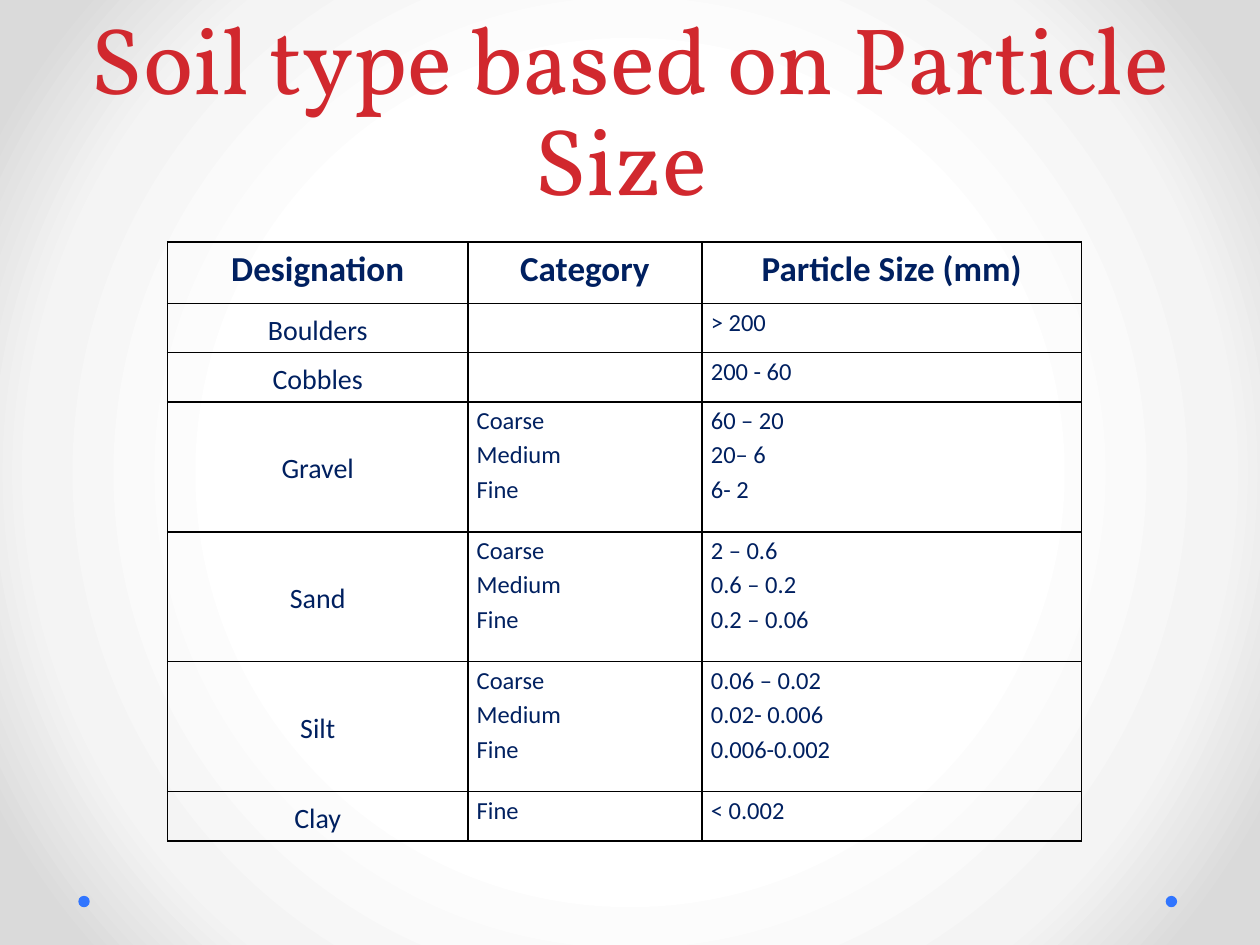
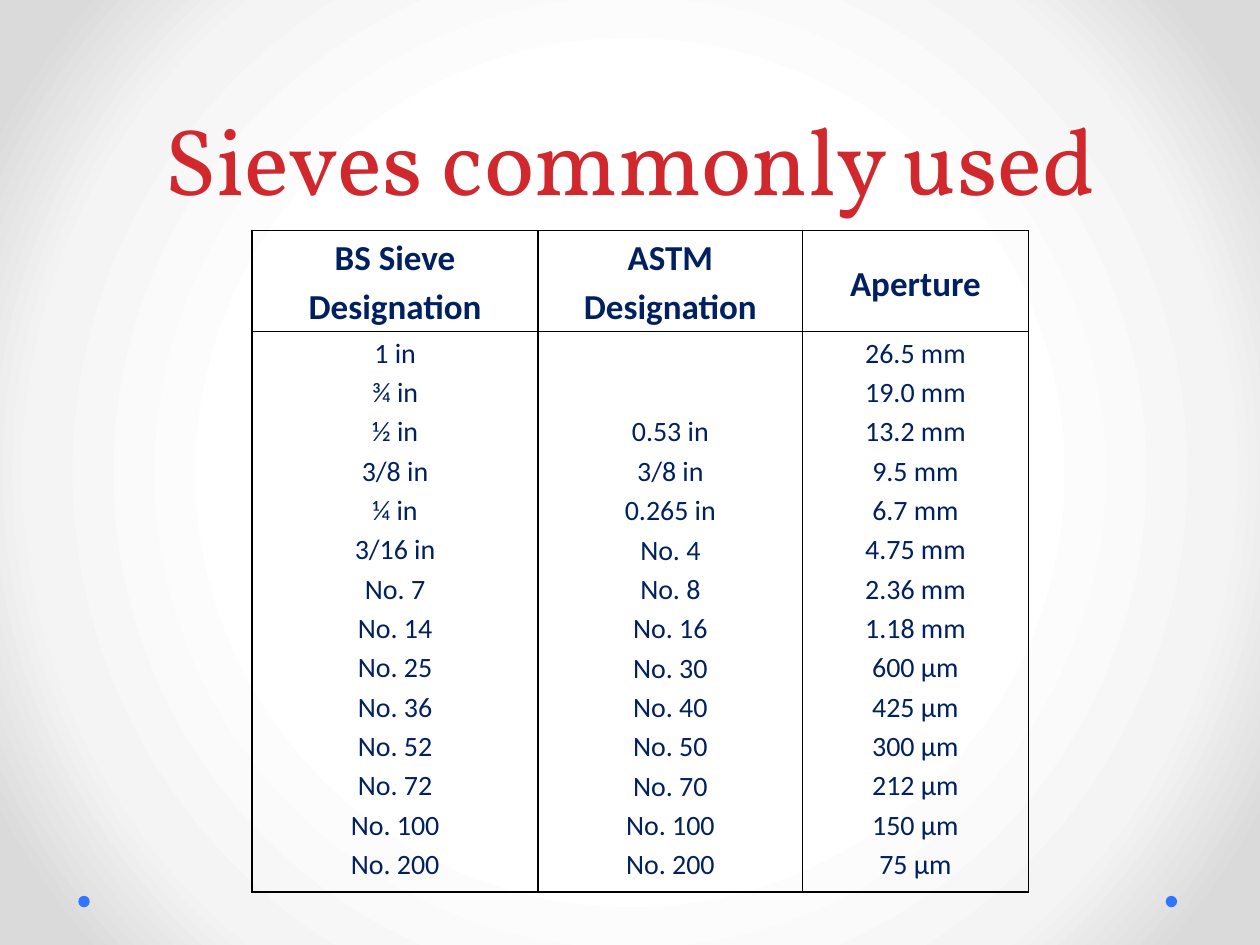
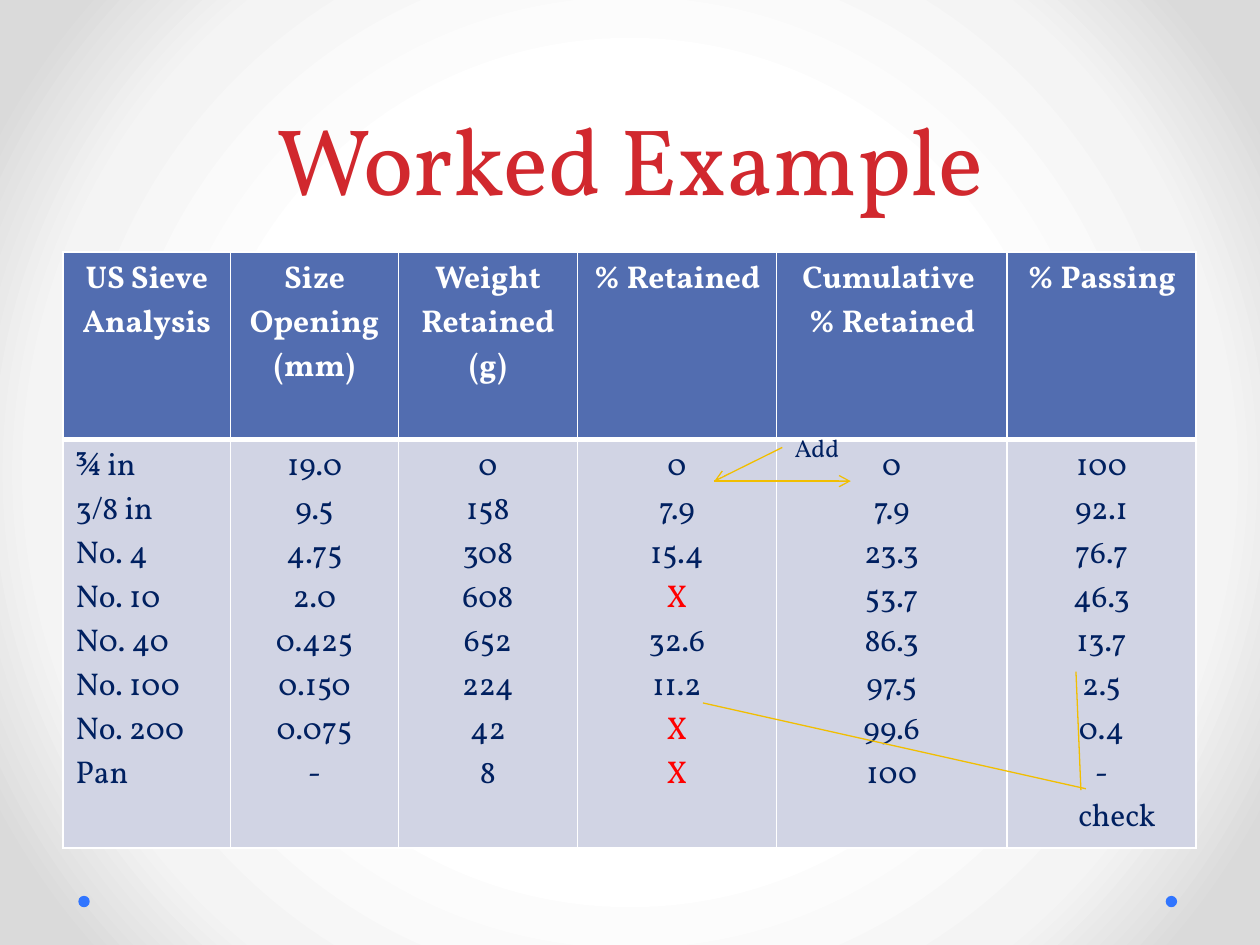
from lxml import etree
from pptx import Presentation
from pptx import util as u
from pptx.dml import color
from pptx.enum import shapes, text
from pptx.oxml import ns, parse_xml

Cm, Pt = u.Cm, u.Pt
TITLE_FONT, TABLE_FONT = "Vollkorn", "Calibri"
RED, NAVY, BLACK, WHITE = "D1282E", "002060", "000000", "FFFFFF"
DOT_BLUE, HEAD_BLUE, BODY_BLUE = "3075FF", "526DB0", "D1D4E4"
GOLD, MISSING = "F1BE00", "FF0000"
BACKDROP = [(50, WHITE), (76, "F4F4F4"), (92, "DADADA")]
LEFT, CENTER = text.PP_ALIGN.LEFT, text.PP_ALIGN.CENTER
TOP, MIDDLE = text.MSO_ANCHOR.TOP, text.MSO_ANCHOR.MIDDLE


def rgb(code):
    return color.RGBColor.from_string(code)


def write(frame, lines, size, ink, font=TITLE_FONT, bold=False, align=LEFT, spacing=None):
    """Fill a text frame with one paragraph per line."""
    for index, line in enumerate(lines):
        para = frame.paragraphs[0] if index == 0 else frame.add_paragraph()
        para.alignment = align
        if spacing:
            para.line_spacing = spacing
        span = para.add_run()
        span.text = line
        span.font.size, span.font.name, span.font.bold = Pt(size), font, bold
        span.font.color.rgb = rgb(MISSING if line == "X" else ink)


# Shared master: backdrop and corner dots
def style_master(deck, page):
    master = deck.slide_master
    master.background.fill.solid()
    solid = master.element.find(".//" + ns.qn("p:bgPr")).find(ns.qn("a:solidFill"))
    stops = "".join(f'<a:gs pos="{pos * 1000}"><a:srgbClr val="{code}"/></a:gs>'
                    for pos, code in BACKDROP)
    solid.getparent().replace(solid, parse_xml(
        f'<a:gradFill {ns.nsdecls("a")} rotWithShape="1"><a:gsLst>{stops}</a:gsLst>'
        '<a:path path="circle"><a:fillToRect l="50000" t="50000" r="50000" b="50000"/>'
        '</a:path></a:gradFill>'))
    for left in (1.58, 23.5):
        dot = page.shapes.add_shape(shapes.MSO_SHAPE.OVAL, Cm(left), Cm(18.06), Cm(0.23), Cm(0.23))
        dot.shadow.inherit = False
        dot.fill.solid()
        dot.fill.fore_color.rgb = rgb(DOT_BLUE)
        dot.line.fill.background()
        master.shapes.element.append(dot.element)


def add_page(deck, heading):
    page = deck.slides.add_slide(deck.slide_layouts[5])
    title = page.shapes.title
    title.left, title.top, title.width, title.height = Cm(1.27), Cm(0), Cm(22.86), Cm(4.45)
    frame = title.text_frame
    frame.word_wrap, frame.auto_size = True, text.MSO_AUTO_SIZE.NONE
    frame.vertical_anchor = text.MSO_ANCHOR.BOTTOM
    write(frame, [heading], 54, RED, align=CENTER, spacing=Pt(58))
    return page


# Tables
def add_grid(page, left, top, columns, rows):
    table = page.shapes.add_table(len(rows), len(columns), Cm(left), Cm(top),
                                  Cm(sum(columns)), Cm(sum(rows))).table
    table.first_row = table.horz_banding = False
    for column, width in zip(table.columns, columns):
        column.width = Cm(width)
    for row, height in zip(table.rows, rows):
        row.height = Cm(height)
    return table


def set_borders(cell, code, **widths):
    """Draw the sides in the order L, R, T, B, ahead of the fill."""
    props = cell._tc.get_or_add_tcPr()
    for index, side in enumerate("LRTB"):
        props.insert(index, parse_xml(
            f'<a:ln{side} {ns.nsdecls("a")} w="{Pt(widths.get(side, 1))}"><a:solidFill>'
            f'<a:srgbClr val="{code}"/></a:solidFill></a:ln{side}>'))


def fill_plain_cell(cell, lines, size, bold=False, align=CENTER, anchor=TOP, drop=0):
    cell.fill.background()
    set_borders(cell, BLACK)
    cell.margin_left = cell.margin_right = Cm(0.18)
    cell.margin_top, cell.margin_bottom = Cm(drop), Cm(0)
    cell.vertical_anchor = anchor
    write(cell.text_frame, lines, size, NAVY, TABLE_FONT, bold, align, 1.15)


def fill_banded_cell(cell, lines, fill, ink, bold, align, **widths):
    cell.fill.solid()
    cell.fill.fore_color.rgb = rgb(fill)
    set_borders(cell, WHITE, **widths)
    write(cell.text_frame, lines, 18, ink, bold=bold, align=align)


def soil_table(page, left, top):
    grades = ["Coarse", "Medium", "Fine"]
    soils = [
        ("Boulders", [], ["> 200"]),
        ("Cobbles", [], ["200 - 60"]),
        ("Gravel", grades, ["60 – 20", "20– 6", "6- 2"]),
        ("Sand", grades, ["2 – 0.6", "0.6 – 0.2", "0.2 – 0.06"]),
        ("Silt", grades, ["0.06 – 0.02", "0.02- 0.006", "0.006-0.002"]),
        ("Clay", ["Fine"], ["< 0.002"]),
    ]
    heights = [1.24] + [2.62 if len(sizes) > 1 else 0.99 for _, _, sizes in soils]
    table = add_grid(page, left, top, [6.05, 4.72, 7.65], heights)
    for col, label in enumerate(["Designation", "Category", "Particle Size (mm)"]):
        fill_plain_cell(table.cell(0, col), [label], 20, bold=True)
    for row, (name, categories, sizes) in enumerate(soils, 1):
        fill_plain_cell(table.cell(row, 0), [name], 16, anchor=MIDDLE)
        fill_plain_cell(table.cell(row, 1), categories, 14, align=LEFT)
        fill_plain_cell(table.cell(row, 2), sizes, 14, align=LEFT)


def sieve_table(page, left, top):
    # Each column: heading, heading anchor, space above the entries, entries
    sieves = [
        ("BS Sieve Designation", TOP, 0,
         ["1 in", "¾ in", "½ in", "3/8 in", "¼ in", "3/16 in"]
         + [f"No. {number}" for number in (7, 14, 25, 36, 52, 72, 100, 200)]),
        ("ASTM Designation", TOP, 1.59,
         ["0.53 in", "3/8 in", "0.265 in"]
         + [f"No. {number}" for number in (4, 8, 16, 30, 40, 50, 70, 100, 200)]),
        ("Aperture", MIDDLE, 0,
         [f"{size} mm" for size in ("26.5", "19.0", "13.2", "9.5", "6.7", "4.75", "2.36", "1.18")]
         + [f"{size} μm" for size in (600, 425, 300, 212, 150, 75)]),
    ]
    table = add_grid(page, left, top, [5.77, 5.33, 4.55], [2.03, 11.3])
    for col, (label, anchor, drop, entries) in enumerate(sieves):
        fill_plain_cell(table.cell(0, col), [label], 20, bold=True, anchor=anchor)
        fill_plain_cell(table.cell(1, col), entries, 16, drop=drop)


def example_table(page, left, top):
    results = [
        (["US Sieve", "Analysis"],
         ["¾ in", "3/8 in", "No. 4", "No. 10", "N0. 40", "No. 100", "No. 200", "Pan"]),
        (["Size Opening (mm)"], "19.0 9.5 4.75 2.0 0.425 0.150 0.075 -".split()),
        (["Weight Retained (g)"], "0 158 308 608 652 224 42 8".split()),
        (["% Retained"], "0 7.9 15.4 X 32.6 11.2 X X".split()),
        (["Cumulative ", "% Retained"], "0 7.9 23.3 53.7 86.3 97.5 99.6 100".split()),
        (["% Passing"], "100 92.1 76.7 46.3 13.7 2.5 0.4 -".split()),
    ]
    table = add_grid(page, left, top, [3.38, 3.38, 3.61, 4.01, 4.65, 3.81], [3.78, 8.23])
    for col, (heading, values) in enumerate(results):
        fill_banded_cell(table.cell(0, col), heading, HEAD_BLUE, WHITE, True, CENTER, B=3)
        fill_banded_cell(table.cell(1, col), values, BODY_BLUE, NAVY, False,
                         CENTER if col else LEFT, T=3)


# Notes and lines over the worked example
def add_note(page, left, top, width, height, words, size):
    box = page.shapes.add_textbox(Cm(left), Cm(top), Cm(width), Cm(height))
    box.text_frame.word_wrap = True
    box.text_frame.auto_size = text.MSO_AUTO_SIZE.SHAPE_TO_FIT_TEXT
    write(box.text_frame, [words], size, NAVY)


def example_marks(page, left, top):
    add_note(page, left + 20.22, top + 10.82, 2.54, 1.02, "check", 18)
    add_note(page, left + 14.5, top + 3.53, 2.34, 0.86, "Add", 14)
    marks = [
        (12.9, 9.09, 20.62, 10.82, False),
        (20.42, 8.46, 20.52, 10.85, False),
        (14.5, 3.94, 13.13, 4.62, True),
        (13.13, 4.62, 15.88, 4.62, True),
    ]
    for x1, y1, x2, y2, arrow in marks:
        mark = page.shapes.add_connector(
            shapes.MSO_CONNECTOR.STRAIGHT,
            Cm(left + x1), Cm(top + y1), Cm(left + x2), Cm(top + y2))
        mark.line.color.rgb = rgb(GOLD)
        mark.line.width = Pt(0.75)
        if arrow:
            etree.SubElement(mark.line._get_or_add_ln(), ns.qn("a:tailEnd"), type="arrow")
        etree.SubElement(mark.element.spPr, ns.qn("a:effectLst"))


def main():
    deck = Presentation()
    deck.slide_width, deck.slide_height = Cm(25.4), Cm(19.05)

    soil_page = add_page(deck, "Soil type based on Particle Size ")
    style_master(deck, soil_page)
    soil_table(soil_page, 3.38, 4.88)

    sieve_table(add_page(deck, "Sieves commonly used"), 5.08, 4.65)

    example_page = add_page(deck, "Worked Example")
    example_table(example_page, 1.27, 5.08)
    example_marks(example_page, 1.27, 5.08)

    deck.save("out.pptx")


if __name__ == "__main__":
    main()
